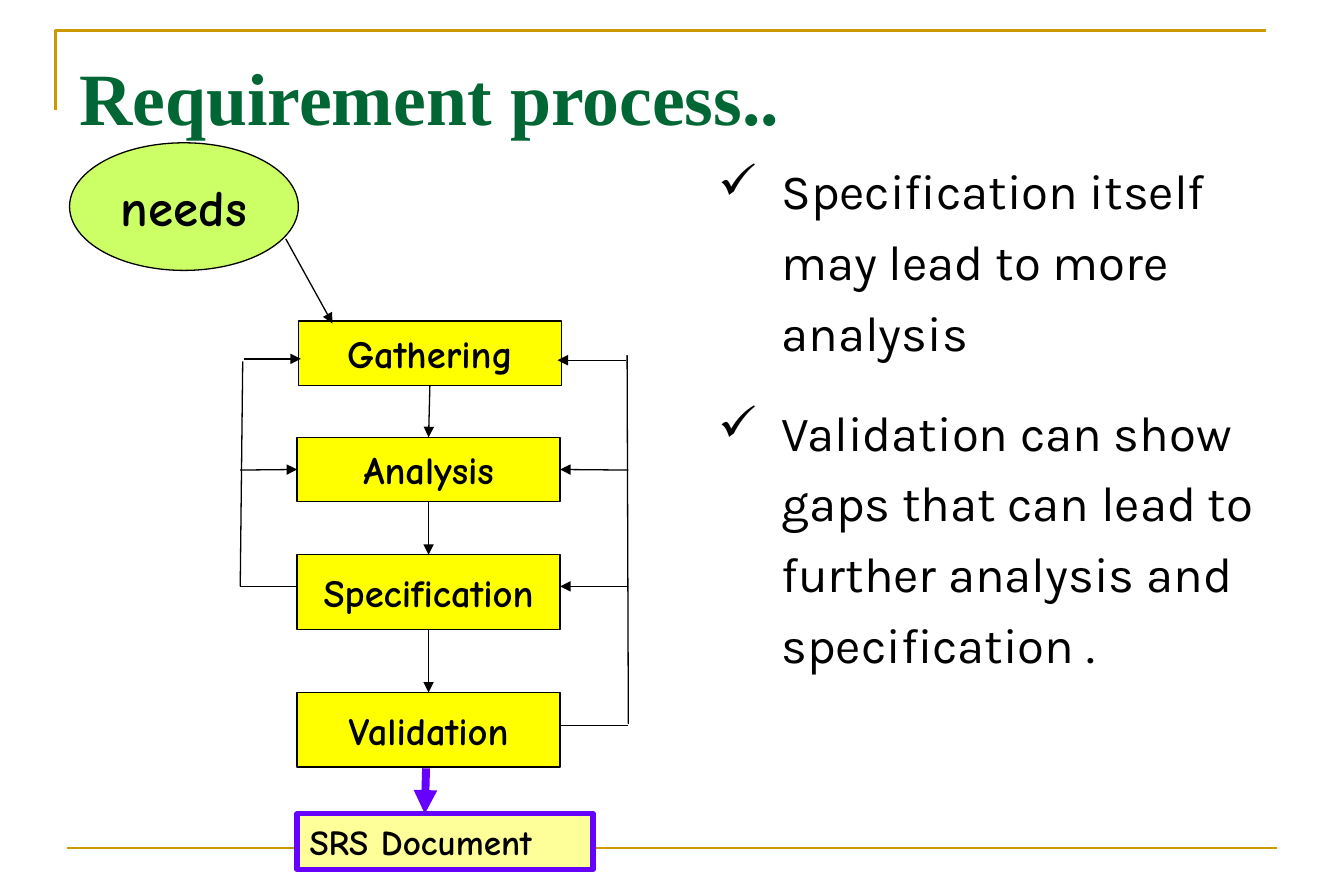
from itertools import pairwise

from lxml.etree import SubElement
from pptx import Presentation
from pptx.dml.color import RGBColor
from pptx.enum.shapes import MSO_CONNECTOR, MSO_SHAPE
from pptx.enum.text import MSO_ANCHOR, MSO_AUTO_SIZE, PP_ALIGN
from pptx.oxml.ns import qn
from pptx.util import Emu, Pt

SCALE = 9144  # EMU per px, 100 px to the inch
BLACK, GOLD, VIOLET = "000000", "CC9900", "6600FF"
TOP, LEFT, BOTTOM, RIGHT = range(4)

TITLE = {"size": Pt(42), "name": "Times New Roman", "bold": True}
BODY = {"size": Pt(28), "name": "Karla"}
OVAL = {"size": Pt(29), "name": "Comic Neue", "bold": True}
STEP = {**OVAL, "size": Pt(22)}
DOC = {**OVAL, "size": Pt(20)}

FRAME = {"margin_left": 9, "margin_top": 5, "margin_right": 9, "margin_bottom": 5}
POINTS = [
    "Specification itself may lead to more analysis",
    "Validation can show gaps that can lead to further analysis and specification .",
]
STEPS = [  # name, left, top, height
    ("Gathering", 236, 254, 51),
    ("Analysis", 235, 346, 51),
    ("Specification", 235, 439, 59),
    ("Validation", 235, 548, 59),
]


def px(num):
    return Emu(round(num * SCALE))


def color(code):
    return RGBColor.from_string(code)


def apply(item, values):
    for name, value in values.items():
        setattr(item, name, value)


def write(para, text, font, ink=BLACK):
    run = para.add_run()
    run.text = text
    apply(run.font, font)
    run.font.color.rgb = color(ink)


def inset(frame, **extra):
    apply(frame, {name: px(gap) for name, gap in {**FRAME, **extra}.items()})


def text_box(slide, left, top, width, height, **extra):
    frame = slide.shapes.add_textbox(*map(px, (left, top, width, height))).text_frame
    frame.word_wrap = True
    inset(frame, **extra)
    return frame


def bullet(para, sign):
    props = para._p.get_or_add_pPr()
    props.set("marL", str(px(56)))
    props.set("indent", str(px(-50)))
    ink = SubElement(props, qn("a:buClr"))
    SubElement(ink, qn("a:srgbClr"), val=BLACK)
    SubElement(props, qn("a:buChar"), char=sign)


def node(slide, kind, place, fill, text, font, edge=BLACK, weight=0.75):
    shape = slide.shapes.add_shape(kind, *map(px, place))
    shape.shadow.inherit = False
    shape.fill.solid()
    shape.fill.fore_color.rgb = color(fill)
    shape.line.color.rgb = color(edge)
    shape.line.width = Pt(weight)
    frame = shape.text_frame
    inset(frame)
    apply(frame, {"word_wrap": False, "vertical_anchor": MSO_ANCHOR.MIDDLE})
    para = frame.paragraphs[0]
    para.alignment = PP_ALIGN.CENTER
    write(para, text, font)
    return shape


def wire(slide, ends, head=False, ink=BLACK, weight=0.75):
    line = slide.shapes.add_connector(MSO_CONNECTOR.STRAIGHT, *map(px, ends))
    line.line.color.rgb = color(ink)
    line.line.width = Pt(weight)
    props = line._element.spPr
    if head:
        SubElement(props.find(qn("a:ln")), qn("a:tailEnd"), type="triangle")
    SubElement(props, qn("a:effectLst"))
    return line


def rules(slide):
    pen = slide.shapes.build_freeform(44, 87, scale=SCALE)
    pen.add_line_segments([(44, 24), (1001, 24)], close=False)
    corner = pen.convert_to_shape()
    corner.shadow.inherit = False
    corner.fill.background()
    corner.line.color.rgb = color(GOLD)
    corner.line.width = Pt(1.5)
    wire(slide, (53, 671, 1010, 671), ink=GOLD, weight=1.5)


def words(slide):
    title = text_box(slide, 53, 29, 955, 66, margin_left=10, margin_top=12)
    write(title.paragraphs[0], "Requirement process..", TITLE, "006633")
    body = text_box(slide, 553, 113, 451, 447)
    for num, text in enumerate(POINTS):
        para = body.add_paragraph() if num else body.paragraphs[0]
        apply(para, {"line_spacing": 1.2, "space_before": Pt(7), "space_after": Pt(9.4)})
        bullet(para, "✓")
        write(para, text, BODY)


def flow(slide):
    # Needs and the four steps
    node(slide, MSO_SHAPE.OVAL, (55, 113, 181, 101), "CCFF66", "needs", OVAL)
    boxes = [
        node(slide, MSO_SHAPE.RECTANGLE, (left, top, 208, height), "FFFF00", name, STEP)
        for name, left, top, height in STEPS
    ]
    wire(slide, (226, 189, 263, 256), head=True)

    # Down from step to step
    for above, below in pairwise(boxes):
        down = wire(slide, (339, 305, 339, 346), head=True)
        down.begin_connect(above, BOTTOM)
        down.end_connect(below, TOP)

    # Feedback rails on both sides
    for ends in [
        (235, 464, 190, 464), (190, 464, 192, 286),
        (443, 574, 497, 574), (497, 573, 496, 281),
    ]:
        wire(slide, ends)
    for ends in [(193, 284, 238, 284), (495, 285, 441, 285), (497, 464, 443, 464)]:
        wire(slide, ends, head=True)
    for start, end, side in [(190, 235, LEFT), (497, 443, RIGHT)]:
        back = wire(slide, (start, 372, end, 372), head=True)
        back.end_connect(boxes[1], side)


def result(slide):
    place = (235, 644, 234, 44)
    doc = node(slide, MSO_SHAPE.RECTANGLE, place, "FFFF99", "SRS Document", DOC, VIOLET, 3)
    frame = doc.text_frame
    inset(frame, margin_left=10, margin_right=10)
    apply(frame, {
        "word_wrap": True,
        "vertical_anchor": MSO_ANCHOR.TOP,
        "auto_size": MSO_AUTO_SIZE.SHAPE_TO_FIT_TEXT,
    })
    apply(frame.paragraphs[0], {"alignment": PP_ALIGN.LEFT, "space_before": Pt(12.5)})
    wire(slide, (337, 608, 336, 644), head=True, ink=VIOLET, weight=4.5)


def main():
    deck = Presentation()
    apply(deck, {"slide_width": px(1063), "slide_height": px(709)})
    slide = deck.slides.add_slide(deck.slide_layouts[6])
    rules(slide)
    words(slide)
    flow(slide)
    result(slide)
    deck.save("out.pptx")


if __name__ == "__main__":
    main()
